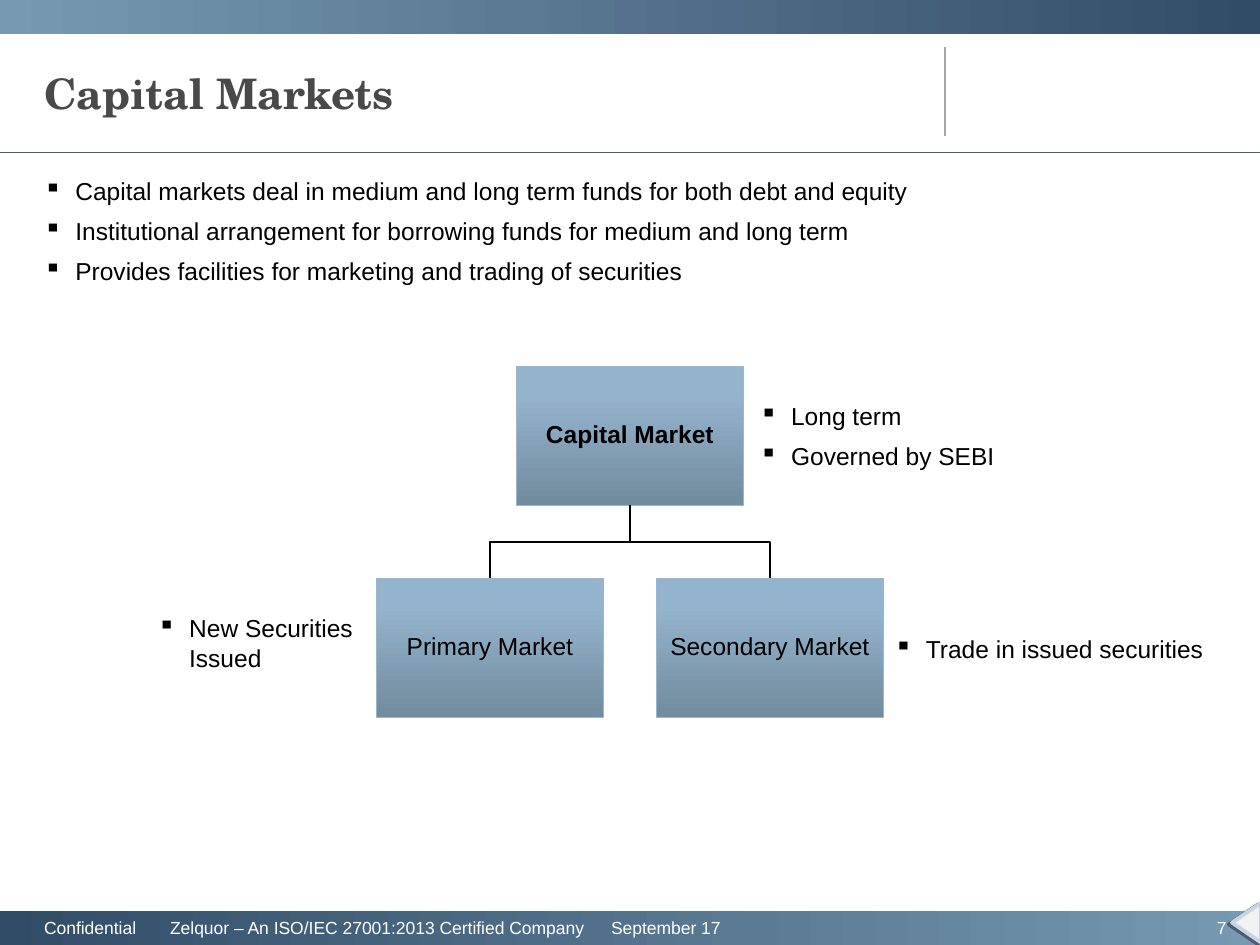
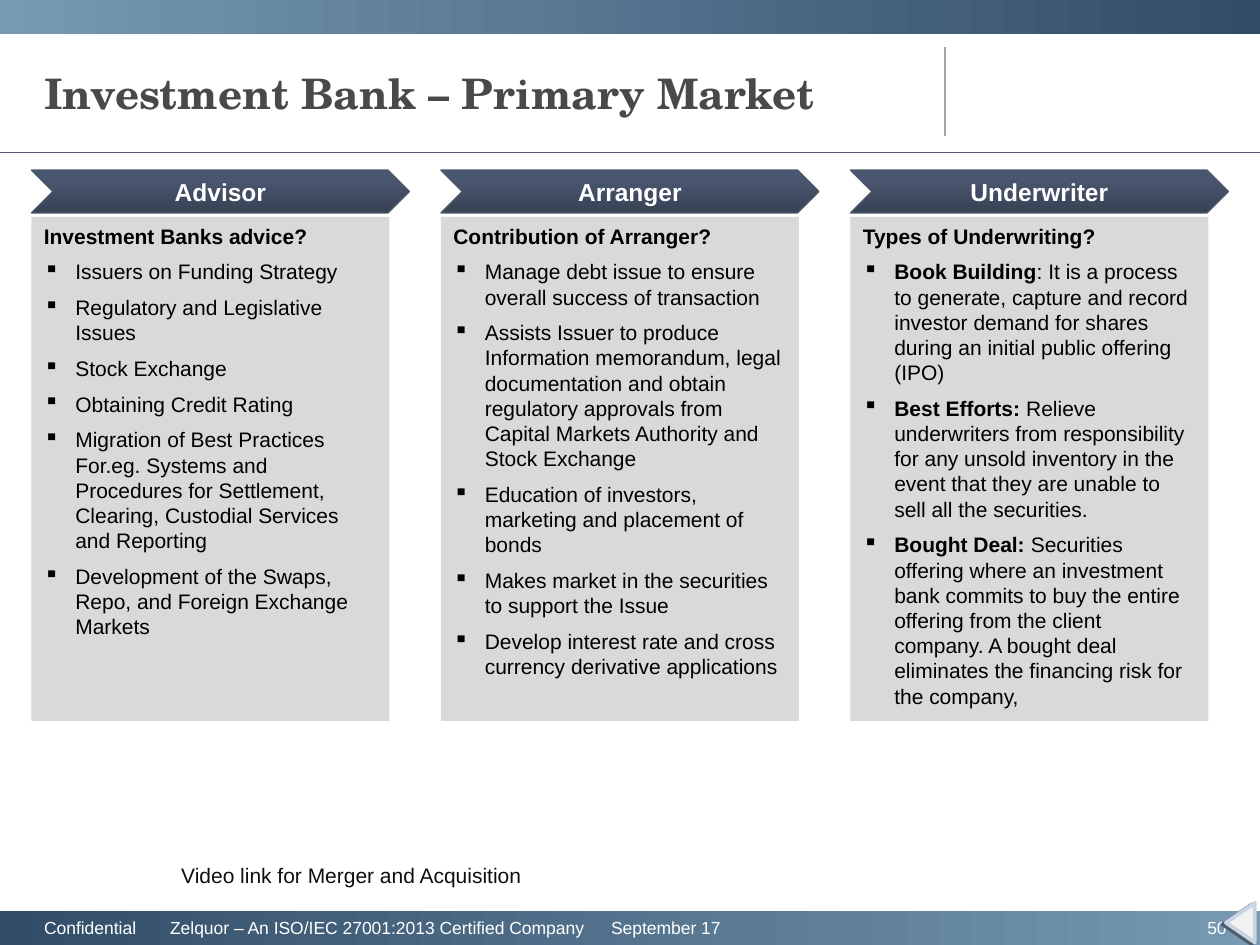
"""Builds two capital markets slides: a market hierarchy and the roles of an investment bank."""
import lxml.etree
import pptx
import pptx.dml.color
import pptx.enum.shapes
import pptx.enum.text
import pptx.oxml
import pptx.oxml.ns
import pptx.util

Pt = pptx.util.Pt
SHAPES = pptx.enum.shapes.MSO_SHAPE
CONNECTORS = pptx.enum.shapes.MSO_CONNECTOR
ALIGN = pptx.enum.text.PP_ALIGN
ANCHOR = pptx.enum.text.MSO_ANCHOR
qn = pptx.oxml.ns.qn

COLOURS = {
    "black": "000000", "white": "FFFFFF", "title": "494949", "caption": "0C0E10",
    "band_dark": "314C67", "band_light": "7799B2", "rule": "505A6E", "divider": "A6A6A6",
    "market_top": "94B4CD", "market_bottom": "728B9E", "market_line": "9BB5CA",
    "role_top": "49566F", "role_bottom": "384255", "role_line": "4E586C",
    "panel": "D9D9D9", "arrow": "F2F2F2", "arrow_line": "C6D5E1",
}
BODY_FONT = "Arial"
TITLE_FONT = "TeX Gyre Schola"
FOOTER = "Confidential\tZelquor – An ISO/IEC 27001:2013 Certified Company\tSeptember 17"
FOOTER_TABS = (72, 324)
BULLET_INDENT = 18

ROLES = [
    ("Advisor", "Investment Banks advice?", [
        "Issuers on Funding Strategy",
        "Regulatory and Legislative Issues",
        "Stock Exchange",
        "Obtaining Credit Rating",
        "Migration of Best Practices For.eg. Systems and Procedures for Settlement, "
        "Clearing, Custodial Services and Reporting",
        "Development of the Swaps, Repo, and Foreign Exchange Markets",
    ]),
    ("Arranger", "Contribution of Arranger?", [
        "Manage debt issue to ensure overall success of transaction",
        "Assists Issuer to produce Information memorandum, legal documentation and obtain "
        "regulatory approvals from Capital Markets Authority and Stock Exchange",
        "Education of investors, marketing and placement of bonds",
        "Makes market in the securities to support the Issue",
        "Develop interest rate and cross currency derivative applications",
    ]),
    ("Underwriter", "Types of Underwriting?", [
        [("Book Building", True),
         (": It is a process to generate, capture and record investor demand for shares "
          "during an initial public offering (IPO)", False)],
        [("Best Efforts: ", True),
         ("Relieve underwriters from responsibility for any unsold inventory in the event "
          "that they are unable to sell all the securities.", False)],
        [("Bought Deal: ", True),
         ("Securities offering where an investment bank commits to buy the entire offering "
          "from the client company. A bought deal eliminates the financing risk for the "
          "company,", False)],
    ]),
]


def colour(name):
    """Return the named colour as an RGB value."""
    return pptx.dml.color.RGBColor.from_string(COLOURS[name])


def set_values(target, values):
    """Set each attribute of the target from a dict."""
    for name, value in values.items():
        setattr(target, name, value)


def add_runs(paragraph, content, size, ink="black", bold=False, font=BODY_FONT):
    """Add a string, or a list of (text, bold) pairs, as formatted runs."""
    pieces = [(content, bold)] if isinstance(content, str) else content
    for text, is_bold in pieces:
        run = paragraph.add_run()
        run.text = text
        set_values(run.font, {"name": font, "size": Pt(size), "bold": is_bold})
        run.font.color.rgb = colour(ink)


def add_bullet(paragraph):
    """Give a paragraph a hanging square bullet."""
    properties = paragraph._p.get_or_add_pPr()
    properties.set("marL", str(Pt(BULLET_INDENT)))
    properties.set("indent", str(-Pt(BULLET_INDENT)))
    lxml.etree.SubElement(properties, qn("a:buChar")).set("char", "▪")


def add_tabs(paragraph, positions):
    """Give a paragraph left tab stops."""
    tab_list = lxml.etree.SubElement(paragraph._p.get_or_add_pPr(), qn("a:tabLst"))
    for position in positions:
        tab = lxml.etree.SubElement(tab_list, qn("a:tab"))
        tab.set("pos", str(Pt(position)))
        tab.set("algn", "l")


def fill_list(frame, bullets, size, heading=None):
    """Write an optional bold heading and bulleted paragraphs."""
    frame.word_wrap = True
    items = [(heading, False)] if heading else []
    items += [(bullet, True) for bullet in bullets]
    for index, (content, bulleted) in enumerate(items):
        paragraph = frame.add_paragraph() if index else frame.paragraphs[0]
        if bulleted:
            add_bullet(paragraph)
        paragraph.space_after = Pt(6)
        add_runs(paragraph, content, size, bold=not bulleted)


def add_text_box(slide, box):
    """Add a wrapping text box and return its text frame."""
    frame = slide.shapes.add_textbox(*map(Pt, box)).text_frame
    frame.word_wrap = True
    return frame


def add_preset(slide, kind, box, fill, line=None, line_width=0.75, angle=None):
    """Add a preset shape, solid or with a two-colour gradient at an angle."""
    shape = slide.shapes.add_shape(kind, *map(Pt, box))
    shape.shadow.inherit = False
    if angle is None:
        shape.fill.solid()
        shape.fill.fore_color.rgb = colour(fill)
    else:
        shape.fill.gradient()
        shape.fill.gradient_angle = angle
        for stop, (name, position) in zip(shape.fill.gradient_stops, fill):
            stop.color.rgb = colour(name)
            stop.position = position
    if line:
        shape.line.color.rgb = colour(line)
        shape.line.width = Pt(line_width)
    else:
        shape.line.fill.background()
    return shape


def label_shape(shape, text, inset, **style):
    """Centre one 14 point label in a shape."""
    frame = shape.text_frame
    margins = {f"margin_{side}": Pt(inset) for side in ("left", "right", "top", "bottom")}
    set_values(frame, {"vertical_anchor": ANCHOR.MIDDLE, "word_wrap": True, **margins})
    paragraph = frame.paragraphs[0]
    paragraph.alignment = ALIGN.CENTER
    add_runs(paragraph, text, 14, **style)


def add_line(slide, ends, ink, width, kind=CONNECTORS.STRAIGHT):
    """Add a connector without a shadow."""
    line = slide.shapes.add_connector(kind, *map(Pt, ends))
    line.line.color.rgb = colour(ink)
    line.line.width = Pt(width)
    lxml.etree.SubElement(line._element.spPr, qn("a:effectLst"))
    return line


def add_branch(slide, parent, child):
    """Join the bottom of the parent to the top of the child by a vertical elbow."""
    branch = add_line(slide, (0, 0, 1, 1), "black", 1, CONNECTORS.ELBOW)
    branch.begin_connect(parent, 2)
    branch.end_connect(child, 0)
    start_x, start_y = parent.left + parent.width // 2, parent.top + parent.height
    end_x, end_y = child.left + child.width // 2, child.top
    drop, spread = end_y - start_y, abs(end_x - start_x)
    set_values(branch, {
        "left": (start_x + end_x - drop) // 2, "top": (start_y + end_y - spread) // 2,
        "width": drop, "height": spread,
    })
    to_right = end_x > start_x
    transform = branch._element.spPr.find(qn("a:xfrm"))
    transform.set("rot", str((270 if to_right else 90) * 60000))
    transform.set("flipH", "1" if to_right else "0")


def add_back_arrow(slide, left):
    """Add the small left-pointing triangle at the bottom right."""
    arrow = add_preset(slide, SHAPES.FLOWCHART_MERGE, (left, 519, 22.5, 16.5),
                       "arrow", "arrow_line", 2.25)
    arrow.rotation = 90
    effects = arrow._element.spPr.find(qn("a:effectLst"))
    shadow = lxml.etree.SubElement(effects, qn("a:outerShdw"))
    shadow.set("dist", str(Pt(2)))
    shadow.set("dir", str(150 * 60000))
    lxml.etree.SubElement(shadow, qn("a:srgbClr")).set("val", COLOURS["rule"])


def add_frame_slide(presentation, title, number):
    """Add a slide with the shared bands, rules, title and footer."""
    slide = presentation.slides.add_slide(presentation.slide_layouts[5])
    bands = [(520.5, 21, ("band_dark", "band_light")), (-2, 21.5, ("band_light", "band_dark"))]
    for top, height, (start, end) in bands:
        add_preset(slide, SHAPES.RECTANGLE, (-1, top, 723, height),
                   [(start, 0), (end, 1)], angle=0)
    add_line(slide, (540, 27, 540, 77.5), "divider", 0.75)
    add_line(slide, (-1, 87, 720, 87), "rule", 0.5)

    holder = slide.shapes.title
    set_values(holder, {"left": Pt(18), "top": Pt(21.5), "width": Pt(502.5), "height": Pt(63)})
    set_values(holder.text_frame, {
        "vertical_anchor": ANCHOR.MIDDLE, "word_wrap": True,
        "auto_size": pptx.enum.text.MSO_AUTO_SIZE.NONE,
    })
    paragraph = holder.text_frame.paragraphs[0]
    paragraph.alignment = ALIGN.LEFT
    add_runs(paragraph, title, 24, "title", True, TITLE_FONT)

    footer = add_text_box(slide, (25.2, 520.2, 623, 19.5))
    set_values(footer, {"vertical_anchor": ANCHOR.MIDDLE, "margin_left": 0, "margin_right": 0,
                        "margin_top": 0, "margin_bottom": 0})
    add_tabs(footer.paragraphs[0], FOOTER_TABS)
    add_runs(footer.paragraphs[0], FOOTER, 10, "white")

    page = add_text_box(slide, (648, 520.5, 60, 19.5))
    page.vertical_anchor = ANCHOR.MIDDLE
    page.paragraphs[0].alignment = ALIGN.RIGHT
    add_runs(page.paragraphs[0], str(number), 10, "white")
    return slide


def add_market(slide, name, left, top, bold=False):
    """Add one box of the market hierarchy."""
    box = add_preset(slide, SHAPES.RECTANGLE, (left, top, 129.6, 79.5),
                     [("market_bottom", 0), ("market_top", 0.8)], "market_line", angle=90)
    label_shape(box, name, 4, bold=bold)
    box.text_frame.paragraphs[0].line_spacing = 0.9
    return box


def build_capital_markets(presentation):
    """Build the slide with the market hierarchy."""
    slide = add_frame_slide(presentation, "Capital Markets", 7)
    notes = [
        ((18, 97.2, 684, 80), [
            "Capital markets deal in medium and long term funds for both debt and equity",
            "Institutional arrangement for borrowing funds for medium and long term",
            "Provides facilities for marketing and trading of securities",
        ]),
        ((427, 225.5, 155, 47.5), ["Long term", "Governed by SEBI"]),
        ((504, 358.5, 205, 24.5), ["Trade in issued securities"]),
        ((83, 347, 132, 41), ["New Securities Issued"]),
    ]
    for box, bullets in notes:
        fill_list(add_text_box(slide, box), bullets, 14)
    add_back_arrow(slide, 701)
    parent = add_market(slide, "Capital Market", 295.2, 209.3, bold=True)
    for name, left in (("Primary Market", 215.2), ("Secondary Market", 375.2)):
        add_branch(slide, parent, add_market(slide, name, left, 330.5))


def build_investment_bank(presentation):
    """Build the slide with the three roles of an investment bank."""
    slide = add_frame_slide(presentation, "Investment Bank – Primary Market", 50)
    caption = add_text_box(slide, (96.5, 489.6, 225, 21.5))
    add_runs(caption.paragraphs[0], "Video link for Merger and Acquisition", 12, "caption")
    for index, (role, heading, bullets) in enumerate(ROLES):
        left = 18 + 234 * index
        chevron = add_preset(slide, SHAPES.CHEVRON, (left, 97.2, 216, 24.5),
                             [("role_bottom", 0), ("role_top", 0.8)], "role_line", angle=90)
        label_shape(chevron, role, 0, ink="white", bold=True)
        panel = add_preset(slide, SHAPES.RECTANGLE, (left, 124, 204.5, 288), "panel")
        panel.text_frame.vertical_anchor = ANCHOR.TOP
        fill_list(panel.text_frame, bullets, 12, heading)
        for paragraph in panel.text_frame.paragraphs:
            paragraph.alignment = ALIGN.LEFT
    add_back_arrow(slide, 697.5)


def main():
    """Build and save the presentation."""
    presentation = pptx.Presentation()
    set_values(presentation, {"slide_width": Pt(720), "slide_height": Pt(540)})
    build_capital_markets(presentation)
    build_investment_bank(presentation)
    presentation.save("out.pptx")


if __name__ == "__main__":
    main()
